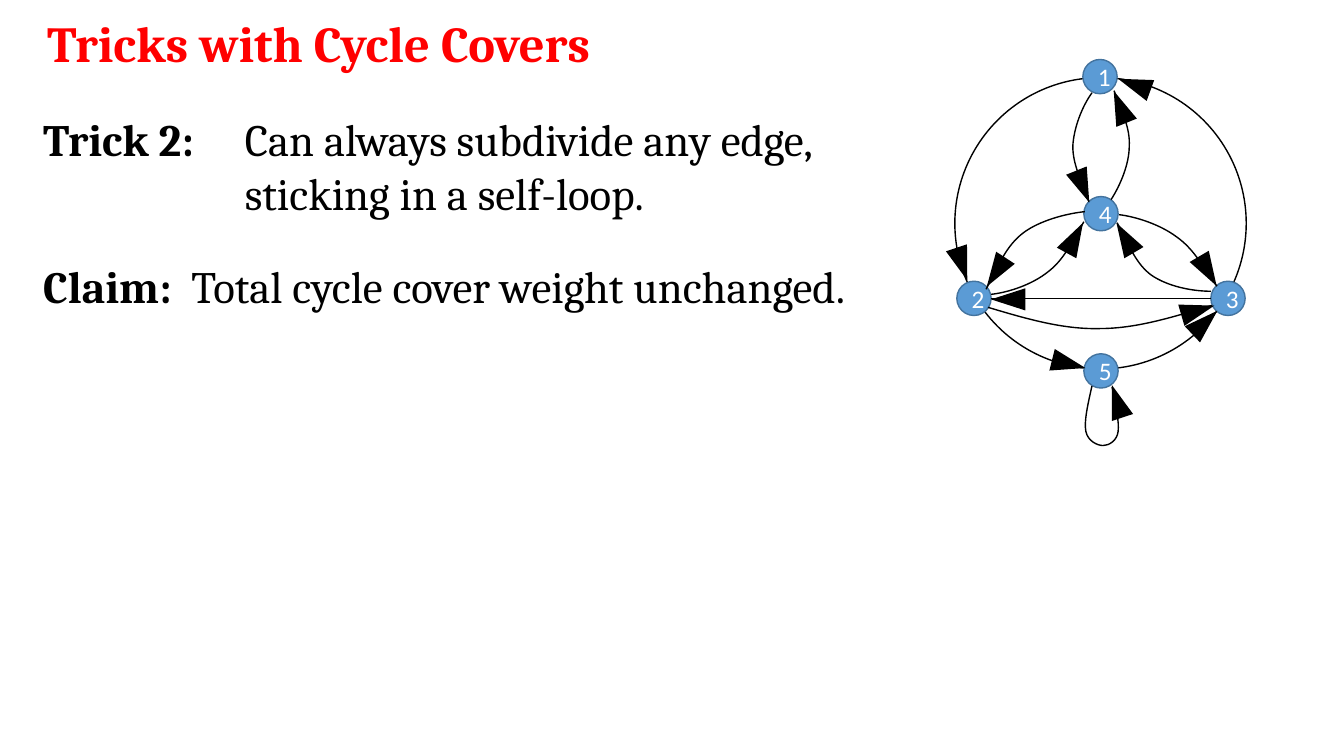
from pptx import Presentation
from pptx import util as u
from pptx.dml import color
from pptx.enum import shapes, text
from pptx.oxml import ns, xmlchemy

RED = color.RGBColor(0xFF, 0x00, 0x00)
BLACK = color.RGBColor(0x00, 0x00, 0x00)
WHITE = color.RGBColor(0xFF, 0xFF, 0xFF)
BLUE = color.RGBColor(0x5B, 0x9B, 0xD5)
NAVY = color.RGBColor(0x43, 0x73, 0x9E)

TITLE = "Tricks with Cycle Covers"
TITLE_BOX = (-1.09, 0.07, 8.5, 0.71)
NOTES = [
    ((0.33, 1.06, 8.19, 1.18), 2, "Trick 2:",
     [" \tCan always subdivide any edge,", "sticking in a self-loop."]),
    ((0.33, 2.52, 8.66, 0.64), 0, "Claim:",
     ["  Total cycle cover weight unchanged."]),
]
HEAD = {"name": "Cambria", "size": u.Pt(36), "bold": True}
LEAD = {"name": "Cambria", "size": u.Pt(32), "bold": True}
BODY = {"name": "Cambria", "size": u.Pt(32), "bold": False}
DIGIT = {"name": "Calibri", "size": u.Pt(18), "bold": False}

RING = (9.47, 0.77, 2.89, 2.89)
NODE = 0.34
NODES = {"1": (10.74, 0.59), "3": (12.01, 2.79), "4": (10.75, 1.95),
         "2": (9.49, 2.79), "5": (10.75, 3.51)}
CHORD = (12.01, 2.96, 9.83, 2.96)
CURVES = {
    "1 to 4": [(10.83, 0.92), (10.73, 1.06), (10.65, 1.27), (10.64, 1.45),
               (10.64, 1.63), (10.72, 1.78), (10.8, 2)],
    "4 to 1": [(11.02, 1.98), (11.11, 1.84), (11.2, 1.63), (11.2, 1.45),
               (11.21, 1.27), (11.13, 1.12), (11.05, 0.9)],
    "4 to 2": [(10.76, 2.1), (10.57, 2.12), (10.31, 2.19), (10.15, 2.31),
               (9.98, 2.44), (9.91, 2.62), (9.78, 2.87)],
    "2 to 4": [(9.83, 2.92), (10.01, 2.9), (10.24, 2.82), (10.39, 2.7),
               (10.55, 2.58), (10.62, 2.42), (10.75, 2.2)],
    "3 to 4": [(12.01, 2.89), (11.82, 2.89), (11.58, 2.84), (11.42, 2.73),
               (11.27, 2.62), (11.2, 2.44), (11.08, 2.21)],
    "4 to 3": [(11.1, 2.13), (11.27, 2.15), (11.51, 2.23), (11.67, 2.35),
               (11.84, 2.47), (11.92, 2.63), (12.07, 2.84)],
    "2 to 3": [(9.8, 3.05), (10.17, 3.16), (10.54, 3.27), (10.91, 3.26),
               (11.28, 3.26), (11.65, 3.14), (12.02, 3.03)],
    "5 to 5": [(10.83, 3.83), (10.79, 4.01), (10.75, 4.18), (10.77, 4.28),
               (10.79, 4.38), (10.89, 4.42), (10.94, 4.42),
               (11, 4.42), (11.08, 4.37), (11.09, 4.28),
               (11.1, 4.18), (11.07, 4.04), (11.03, 3.84)],
}
TIP = (0.22, 0.34)
TIPS = [
    (9.43, 2.45, 161.6), (11.14, 0.67, 290), (11.84, 3.03, 46.7),
    (9.89, 2.8, 270), (10.63, 1.68, 158), (11, 0.89, 338),
    (9.77, 2.53, 213), (10.55, 2.19, 28.6), (11.05, 2.19, 329.6),
    (11.87, 2.52, 149.6), (11.77, 2.91, 73.8), (10.97, 3.81, 341.8),
    (10.49, 3.44, 103.9),
]


def cm(*vals):
    return [u.Cm(v * 2.54) for v in vals]


def style(font, look, ink):
    for key, val in look.items():
        setattr(font, key, val)
    font.color.rgb = ink


def paint(shape, fill=None, line=None):
    shape.shadow.inherit = False
    if fill is None:
        shape.fill.background()
    else:
        shape.fill.solid()
        shape.fill.fore_color.rgb = fill
    if line is None:
        shape.line.fill.background()
    else:
        shape.line.color.rgb = line
        shape.line.width = u.Pt(1)


def add_title(slide):
    title = slide.shapes.title
    title.left, title.top, title.width, title.height = cm(*TITLE_BOX)
    frame = title.text_frame
    frame.text = TITLE
    frame.auto_size = text.MSO_AUTO_SIZE.NONE
    frame.vertical_anchor = text.MSO_ANCHOR.TOP
    para = frame.paragraphs[0]
    para.alignment = text.PP_ALIGN.CENTER
    style(para.runs[0].font, HEAD, RED)


def add_note(slide, box, hang, lead, lines):
    frame = slide.shapes.add_textbox(*cm(*box)).text_frame
    frame.word_wrap = True
    para = frame.paragraphs[0]
    if hang:
        props = para._p.get_or_add_pPr()
        props.set("marL", str(cm(hang)[0]))
        props.set("indent", str(-cm(hang)[0]))
    run = para.add_run()
    run.text = lead
    style(run.font, LEAD, BLACK)
    for row, line in enumerate(lines):
        if row:
            para.add_line_break()
        run = para.add_run()
        run.text = line
        style(run.font, BODY, BLACK)


def add_node(slide, name, spot):
    node = slide.shapes.add_shape(shapes.MSO_SHAPE.OVAL, *cm(*spot, NODE, NODE))
    paint(node, BLUE, NAVY)
    frame = node.text_frame
    frame.text = name
    frame.vertical_anchor = text.MSO_ANCHOR.MIDDLE
    para = frame.paragraphs[0]
    para.alignment = text.PP_ALIGN.CENTER
    style(para.runs[0].font, DIGIT, WHITE)


def add_curve(slide, knots):
    first, *rest = [cm(*knot) for knot in knots]
    pen = slide.shapes.build_freeform(*first)
    pen.add_line_segments(rest, close=False)
    curve = pen.convert_to_shape()
    paint(curve, None, BLACK)
    steps = list(curve._element.iter(ns.qn("a:lnTo")))
    for i in range(0, len(steps), 3):
        bend = xmlchemy.OxmlElement("a:cubicBezTo")
        steps[i].addprevious(bend)
        for step in steps[i:i + 3]:
            bend.append(step[0])
            step.getparent().remove(step)


def main():
    deck = Presentation()
    deck.slide_width, deck.slide_height = cm(13.33, 7.5)
    slide = deck.slides.add_slide(deck.slide_layouts[5])
    add_title(slide)
    for note in NOTES:
        add_note(slide, *note)
    ring = slide.shapes.add_shape(shapes.MSO_SHAPE.OVAL, *cm(*RING))
    paint(ring, None, BLACK)
    for name, spot in NODES.items():
        add_node(slide, name, spot)
    chord = slide.shapes.add_connector(shapes.MSO_CONNECTOR.STRAIGHT, *cm(*CHORD))
    chord.line.color.rgb = BLACK
    chord.line.width = u.Pt(1)
    chord._element.spPr.append(xmlchemy.OxmlElement("a:effectLst"))
    for knots in CURVES.values():
        add_curve(slide, knots)
    for x, y, turn in TIPS:
        tip = slide.shapes.add_shape(shapes.MSO_SHAPE.ISOSCELES_TRIANGLE, *cm(x, y, *TIP))
        tip.rotation = turn
        paint(tip, BLACK)
    deck.save("out.pptx")


if __name__ == "__main__":
    main()
